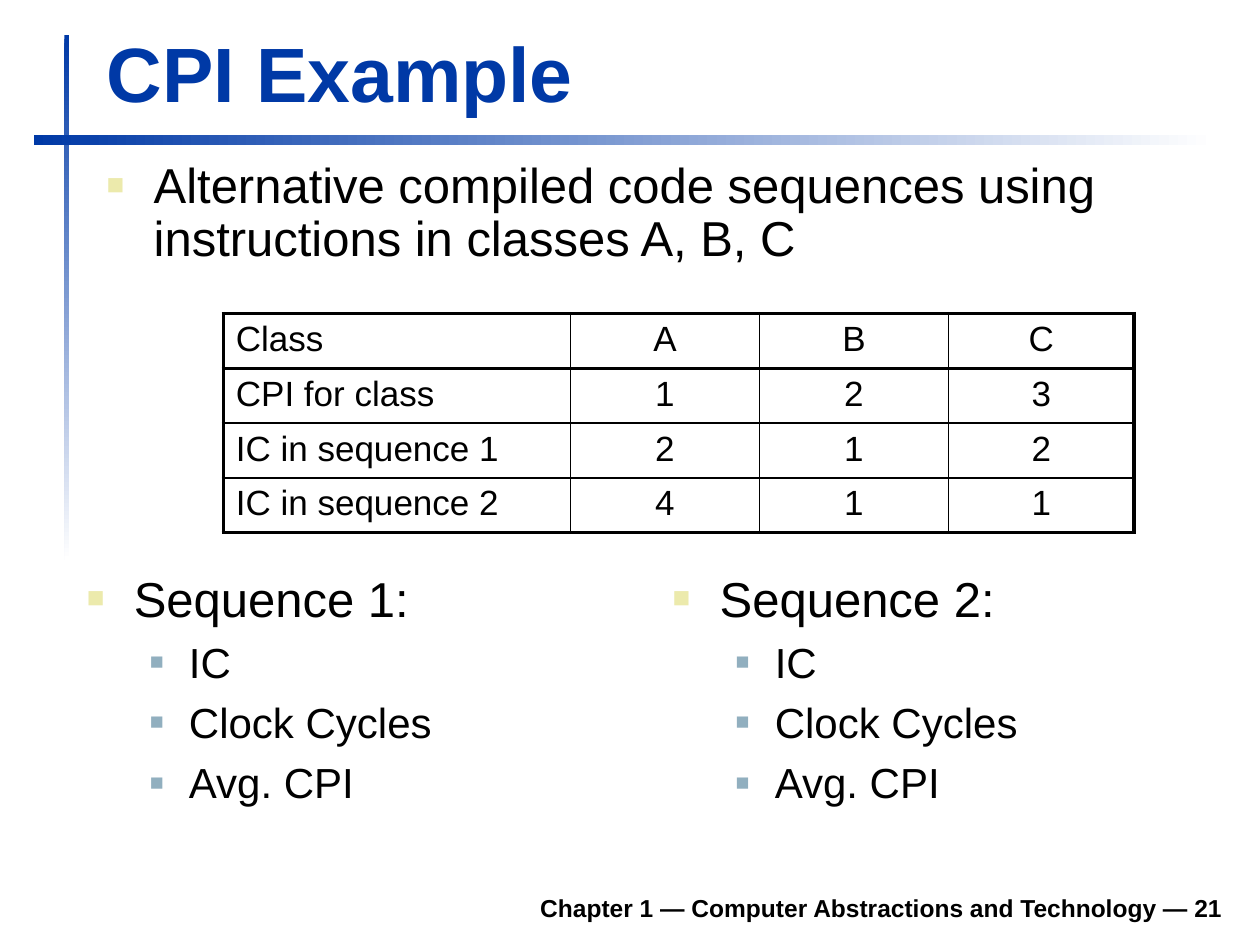
from lxml import etree
from pptx import Presentation
from pptx.dml import color
from pptx.enum import shapes, text
from pptx.oxml import ns
from pptx.util import Cm, Pt

BLUE, WHITE, BLACK = "0039A6", "FFFFFF", "000000"
LEVELS = [
    {"size": 28, "indent": 0.95, "hang": 0.95, "bullet": "ECEAAC", "pct": 60},
    {"size": 24, "indent": 2.06, "hang": 0.79, "bullet": "91AFBF", "pct": 55},
]


def rgb(value):
    """Return a colour from a hex string."""
    return color.RGBColor.from_string(value)


def set_values(obj, values):
    """Set each attribute of obj named in values."""
    for name, value in values.items():
        setattr(obj, name, value)


def add_child(parent, tag, **attrs):
    """Append a DrawingML element."""
    return etree.SubElement(parent, ns.qn(f"a:{tag}"), attrs)


def add_run(p, words, size, bold=False, hue=BLACK):
    """Add a formatted run to a paragraph."""
    r = p.add_run()
    r.text = words
    set_values(r.font, {"name": "Arial", "size": Pt(size), "bold": bold})
    r.font.color.rgb = rgb(hue)


def add_box(s, box, anchor=text.MSO_ANCHOR.TOP):
    """Add a wrapping text box and return its text frame."""
    tf = s.shapes.add_textbox(*map(Cm, box)).text_frame
    set_values(tf, {"word_wrap": True, "vertical_anchor": anchor})
    return tf


def add_bar(s, box, angle):
    """Add a bar that fades from blue to white."""
    sp = s.shapes.add_shape(shapes.MSO_SHAPE.RECTANGLE, *map(Cm, box))
    sp.shadow.inherit = False
    sp.line.fill.background()
    sp.fill.gradient()
    sp.fill.gradient_angle = angle
    for stop, hue in zip(sp.fill.gradient_stops, (BLUE, WHITE)):
        stop.color.rgb = rgb(hue)


def add_line(s, box, words, size, hue, align):
    """Add one bold line standing on the bottom of its box."""
    p = add_box(s, box, text.MSO_ANCHOR.BOTTOM).paragraphs[0]
    p.alignment = align
    add_run(p, words, size, True, hue)


def add_bullets(s, box, items, spacing=1.0):
    """Add bulleted paragraphs from (level, words) pairs."""
    tf = add_box(s, box)
    for i, (level, words) in enumerate(items):
        p = tf.add_paragraph() if i else tf.paragraphs[0]
        look = LEVELS[level]
        set_values(p, {"level": level, "line_spacing": spacing,
                       "space_before": Pt(look["size"] * 0.23 if i else 0)})
        pPr = p._p.get_or_add_pPr()
        pPr.set("marL", str(Cm(look["indent"])))
        pPr.set("indent", str(-Cm(look["hang"])))
        add_child(add_child(pPr, "buClr"), "srgbClr", val=look["bullet"])
        add_child(pPr, "buSzPct", val=str(look["pct"] * 1000))
        add_child(pPr, "buFont", typeface="Arial")
        add_child(pPr, "buChar", char="■")
        add_run(p, words, look["size"])


def add_borders(cell, widths):
    """Draw the cell borders with widths keyed by side."""
    tcPr = cell._tc.get_or_add_tcPr()
    for side, width in widths.items():
        ln = add_child(tcPr, f"ln{side}", w=str(Pt(width)))
        add_child(add_child(ln, "solidFill"), "srgbClr", val=BLACK)


def add_class_table(s, box, widths, rows):
    """Add the table with a heavy frame and a heavy rule under its header."""
    table = s.shapes.add_table(len(rows), len(widths), *map(Cm, box)).table
    set_values(table, {"first_row": False, "horz_banding": False})
    for column, width in zip(table.columns, widths):
        column.width = Cm(width)
    last_row, last_col = len(rows) - 1, len(widths) - 1
    for i, row in enumerate(rows):
        for j, words in enumerate(row):
            cell = table.cell(i, j)
            heavy = {"L": j == 0, "R": j == last_col,
                     "T": i in (0, 1), "B": i in (0, last_row)}
            add_borders(cell, {k: 2.25 if v else 1 for k, v in heavy.items()})
            cell.fill.background()
            p = cell.text_frame.paragraphs[0]
            p.alignment = text.PP_ALIGN.CENTER if j else text.PP_ALIGN.LEFT
            add_run(p, words, 20)


def add_frame(s, title, footer):
    """Add the bars, the title and the footer."""
    add_bar(s, (1.3, 0.71, 0.1, 10.59), 270)
    add_bar(s, (0.69, 2.72, 23.8, 0.2), 0)
    add_line(s, (1.9, 0.41, 22.94, 2.1), title, 44, BLUE, text.PP_ALIGN.LEFT)
    add_line(s, (4.7, 17.73, 20.2, 1), footer, 14, BLACK, text.PP_ALIGN.RIGHT)


def main():
    """Build and save the slide."""
    prs = Presentation()
    set_values(prs, {"slide_width": Cm(25.4), "slide_height": Cm(19.05)})
    s = prs.slides.add_slide(prs.slide_layouts[6])
    add_frame(s, "CPI Example",
              "Chapter 1 — Computer Abstractions and Technology — 21")
    add_bullets(s, (1.9, 3.12, 23, 2.77), [
        (0, "Alternative compiled code sequences using instructions in classes A, B, C"),
    ], 0.9)
    add_class_table(s, (4.5, 6.32, 18.36, 4.42), (7, 3.81, 3.81, 3.74), [
        ("Class", "A", "B", "C"),
        ("CPI for class", "1", "2", "3"),
        ("IC in sequence 1", "2", "1", "2"),
        ("IC in sequence 2", "4", "1", "1"),
    ])
    measures = [(1, words) for words in ("IC", "Clock Cycles", "Avg. CPI")]
    for n, left in enumerate((1.5, 13.31), 1):
        add_bullets(s, (left, 11.33, 10.8, 5.79),
                    [(0, f"Sequence {n}:")] + measures)
    prs.save("out.pptx")


if __name__ == "__main__":
    main()
